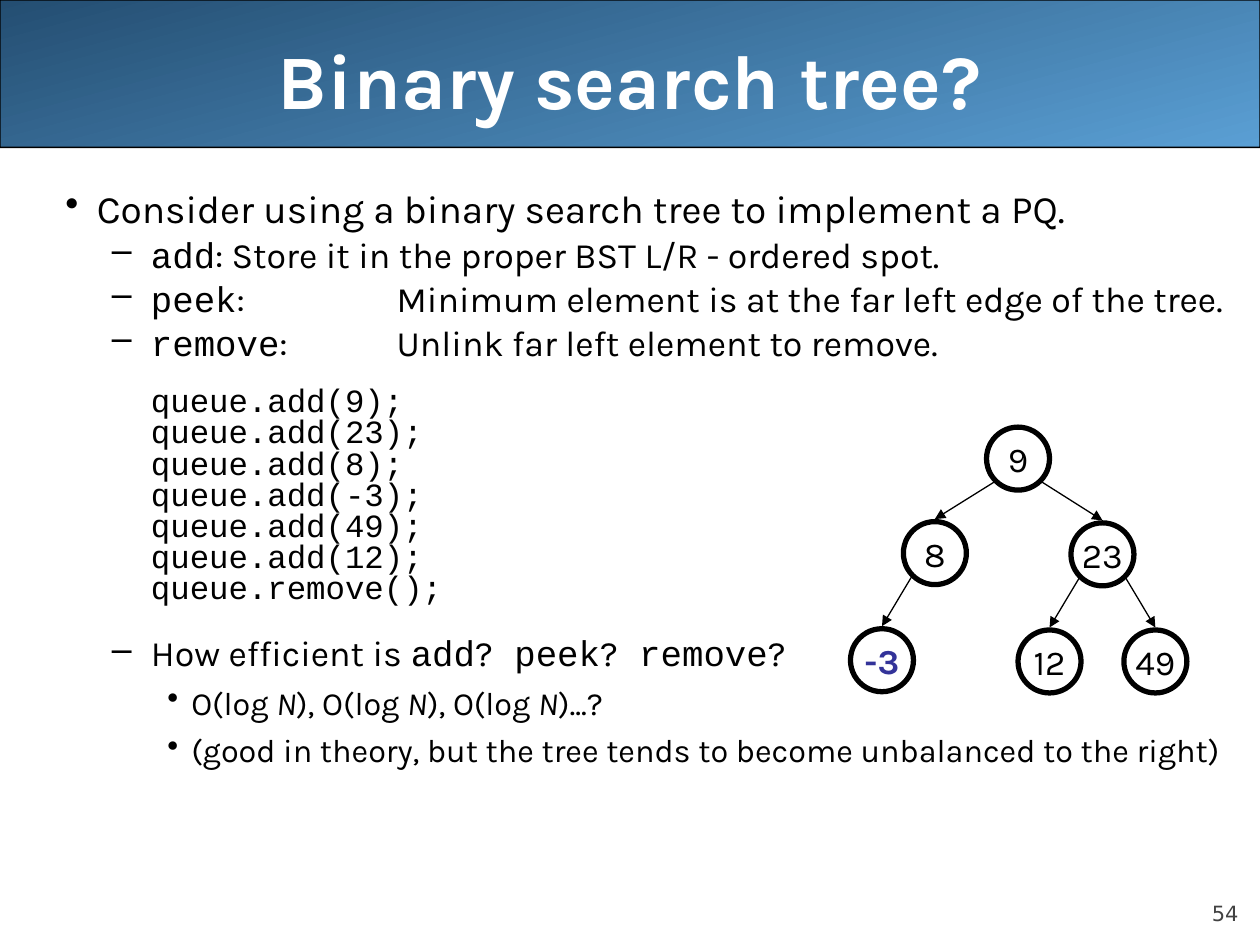
from lxml import etree
from pptx import Presentation
from pptx.dml.color import RGBColor
from pptx.enum.shapes import MSO_CONNECTOR, MSO_SHAPE
from pptx.enum.text import MSO_ANCHOR, PP_ALIGN
from pptx.oxml.ns import qn
from pptx.util import Inches, Pt

ROUND, OVAL = MSO_SHAPE.ROUNDED_RECTANGLE, MSO_SHAPE.OVAL
LINE = MSO_CONNECTOR.STRAIGHT
MIDDLE, BOTTOM = MSO_ANCHOR.MIDDLE, MSO_ANCHOR.BOTTOM
CENTER, RIGHT = PP_ALIGN.CENTER, PP_ALIGN.RIGHT

BLACK = RGBColor(0x00, 0x00, 0x00)
WHITE = RGBColor(0xFF, 0xFF, 0xFF)
GRAY = RGBColor(0x42, 0x42, 0x42)
INDIGO = RGBColor(0x33, 0x33, 0x99)
NAVY = RGBColor(0x24, 0x4E, 0x72)
SKY = RGBColor(0x5A, 0x9F, 0xD4)

SANS, MONO, PLAIN = "Karla", "Courier New", "DejaVu Sans"
TABS = (0.94, 1.25, 1.57, 2.88)
# level: bullet, left margin, first-line indent
LEVELS = (("•", 0.5, -0.25), ("–", 0.93, -0.31), ("•", 1.25, -0.19))

SIZE = 0.5
# value: left, top, parent
NODES = {
    "9": (7.83, 3.39, None),
    "8": (7.17, 4.14, "9"),
    "23": (8.5, 4.15, "9"),
    "-3": (6.75, 4.99, "8"),
    "12": (8.08, 5, "23"),
    "49": (8.92, 5, "23"),
}
CALLS = ("add(9)", "add(23)", "add(8)", "add(-3)", "add(49)", "add(12)",
         "remove()")


def add_run(para, text, size, font=SANS, color=BLACK, bold=False, italic=False):
    run = para.add_run()
    run.text = text
    face = run.font
    face.name, face.size = font, Pt(size)
    face.bold, face.italic = bold, italic
    face.color.rgb = color


def add_band(slide):
    band = slide.shapes.add_shape(ROUND, 0, 0, Inches(10), Inches(1.17))
    band.adjustments[0] = 0.001
    band.shadow.inherit = False
    band.fill.gradient()
    band.fill.gradient_angle = 285
    for stop, color in zip(band.fill.gradient_stops, (NAVY, SKY)):
        stop.color.rgb = color
    band.line.color.rgb = BLACK
    band.line.width = Pt(0.75)
    return band


def set_title(slide, text):
    """Fill the title and lift it above the band."""
    title = slide.shapes.title
    title.left, title.top = Inches(0.5), 0
    title.width, title.height = Inches(9), Inches(1.25)
    title.text_frame.vertical_anchor = MIDDLE
    para = title.text_frame.paragraphs[0]
    para.alignment = CENTER
    add_run(para, text, 44, color=WHITE, bold=True)
    title._element.addprevious(add_band(slide)._element)


def add_number(slide, text):
    box = slide.shapes.add_textbox(Inches(9), Inches(6.95), Inches(0.83), Inches(0.4))
    frame = box.text_frame
    frame.word_wrap = True
    frame.vertical_anchor = BOTTOM
    frame.margin_left = frame.margin_right = 0
    frame.margin_top = frame.margin_bottom = 0
    para = frame.paragraphs[0]
    para.alignment = RIGHT
    add_run(para, text, 12, PLAIN, GRAY)


def add_para(frame, level, before=0, spacing=1, bullet=True):
    first = frame.paragraphs[0]
    para = frame.add_paragraph() if first.runs else first
    para.level = level
    para.space_before = Pt(before)
    para.line_spacing = spacing
    mark, left, indent = LEVELS[level]
    props = para._p.get_or_add_pPr()
    props.set("marL", str(Inches(left)))
    props.set("indent", str(Inches(indent) if bullet else 0))
    if bullet:
        tint = etree.SubElement(props, qn("a:buClr"))
        etree.SubElement(tint, qn("a:srgbClr"), val=str(BLACK))
        etree.SubElement(props, qn("a:buChar"), char=mark)
        stops = etree.SubElement(props, qn("a:tabLst"))
        for tab in TABS:
            etree.SubElement(stops, qn("a:tab"), pos=str(Inches(tab)), algn="l")
    else:
        etree.SubElement(props, qn("a:buNone"))
    return para


def add_code(frame):
    para = add_para(frame, 1, 14, 0.8, bullet=False)
    for i, call in enumerate(CALLS):
        if i:
            para.add_line_break()
        add_run(para, f"queue.{call};", 18.5, MONO)


def add_body(slide):
    box = slide.shapes.add_textbox(Inches(0.17), Inches(1.42), Inches(9.83), Inches(5.67))
    frame = box.text_frame
    frame.word_wrap = True
    add_run(add_para(frame, 0),
            "Consider using a binary search tree to implement a PQ.", 22.2)
    for name, text in (
        ("add", "Store it in the proper BST L/R - ordered spot."),
        ("peek", "Minimum element is at the far left edge of the tree."),
        ("remove", "Unlink far left element to remove."),
    ):
        para = add_para(frame, 1, 5.5, 0.8)
        add_run(para, name, 20.4, MONO)
        add_run(para, f":\t{text}", 20.4)

    add_code(frame)

    para = add_para(frame, 1, 14.5)
    add_run(para, "How efficient is ", 20.4)
    for name in ("add", " peek", " remove"):
        add_run(para, name, 20.4, MONO)
        add_run(para, "?", 20.4)

    para = add_para(frame, 2, 5)
    for lead in ("O(log ", "), O(log ", "), O(log "):
        add_run(para, lead, 18.5)
        add_run(para, "N", 18.5, italic=True)
    add_run(para, ")...?", 18.5)
    add_run(add_para(frame, 2, 5),
            "(good in theory, but the tree tends to become unbalanced to the right)",
            18.5)


def add_node(slide, value, left, top):
    node = slide.shapes.add_shape(OVAL, Inches(left), Inches(top), Inches(SIZE), Inches(SIZE))
    node.shadow.inherit = False
    node.fill.background()
    node.line.color.rgb = BLACK
    node.line.width = Pt(3)
    frame = node.text_frame
    frame.word_wrap = False
    frame.vertical_anchor = MIDDLE
    para = frame.paragraphs[0]
    para.alignment = CENTER
    least = value == "-3"
    add_run(para, value, 20, color=INDIGO if least else BLACK, bold=least)


def add_arrow(slide, parent, child):
    """Run from the parent's lower diagonal to just above the child."""
    half, reach = SIZE / 2, 0.18
    side = reach if child[0] > parent[0] else -reach
    arrow = slide.shapes.add_connector(
        LINE,
        Inches(parent[0] + half + side), Inches(parent[1] + half + reach),
        Inches(child[0] + half), Inches(child[1] - 0.02))
    arrow.line.color.rgb = BLACK
    arrow.line.width = Pt(0.75)
    etree.SubElement(arrow.line._get_or_add_ln(), qn("a:tailEnd"), type="triangle")
    etree.SubElement(arrow._element.spPr, qn("a:effectLst"))


def add_tree(slide):
    for value, (left, top, parent) in NODES.items():
        add_node(slide, value, left, top)
        if parent:
            add_arrow(slide, NODES[parent], (left, top))


def main():
    deck = Presentation()
    deck.slide_width, deck.slide_height = Inches(10), Inches(7.5)
    slide = deck.slides.add_slide(deck.slide_layouts[5])
    set_title(slide, "Binary search tree?")
    add_number(slide, "54")
    add_body(slide)
    add_tree(slide)
    deck.save("out.pptx")


if __name__ == "__main__":
    main()
